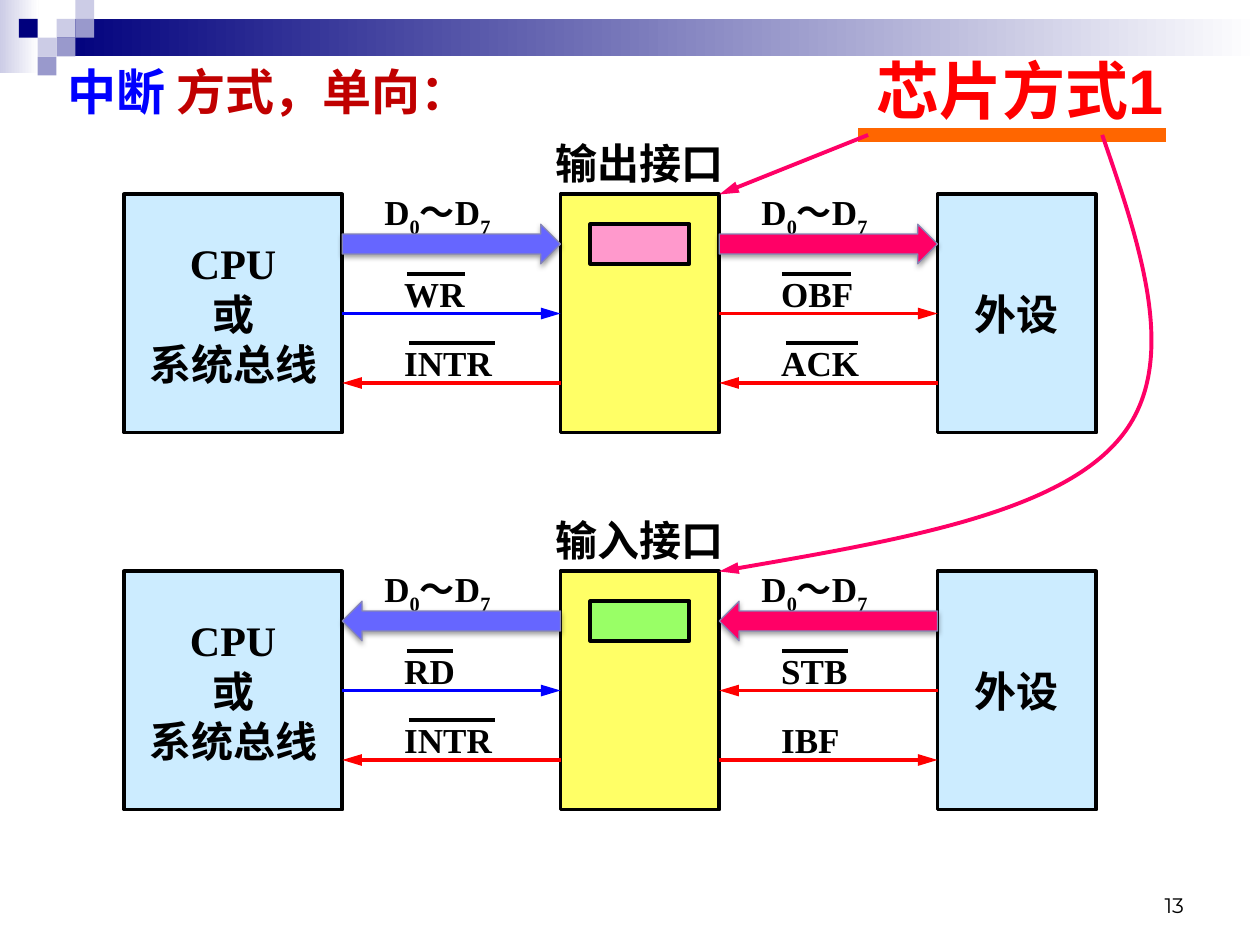
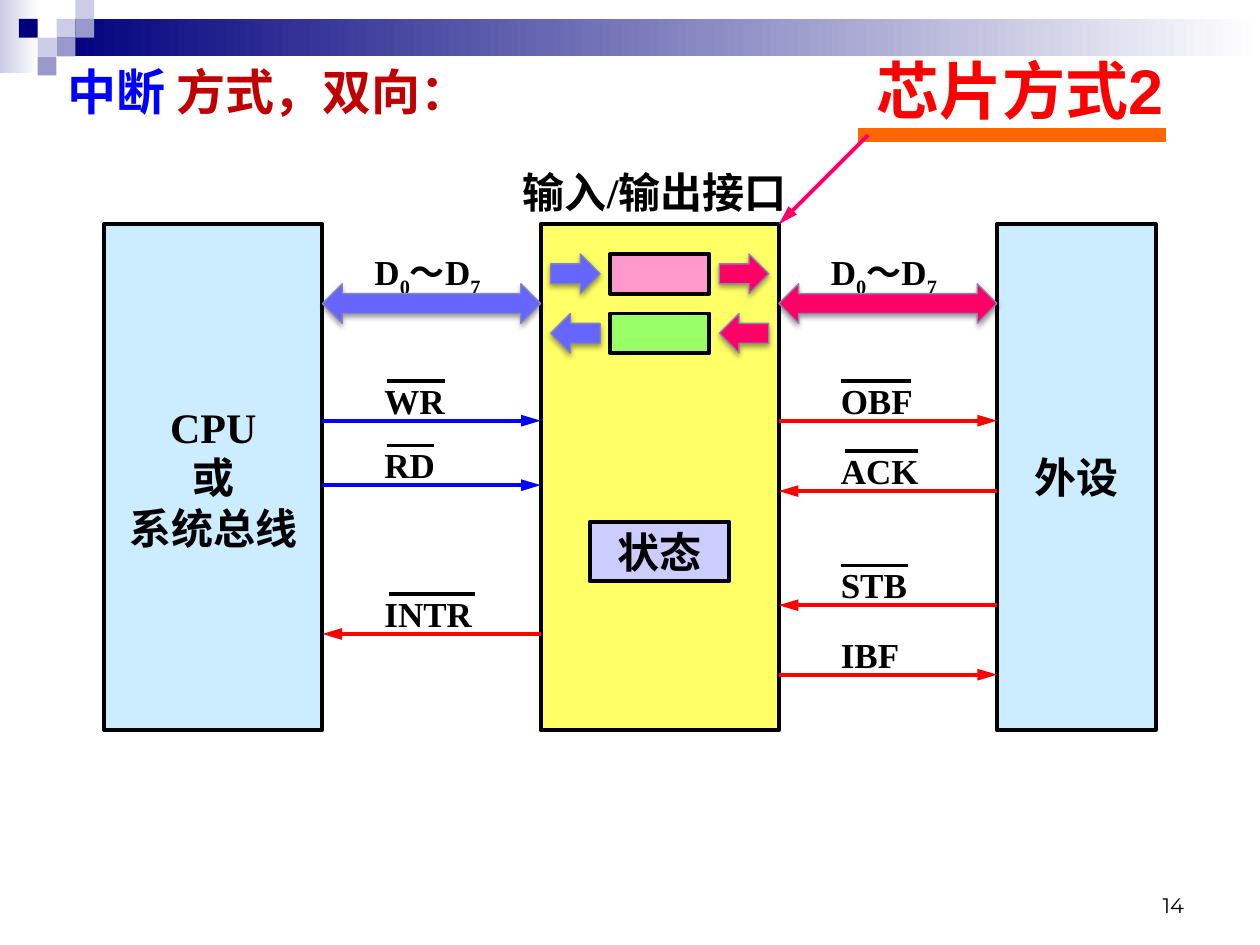
from dataclasses import dataclass

from lxml import etree
from pptx import Presentation
from pptx.dml.color import RGBColor
from pptx.enum.shapes import MSO_CONNECTOR, MSO_SHAPE
from pptx.enum.text import MSO_ANCHOR, MSO_AUTO_SIZE, PP_ALIGN
from pptx.oxml.ns import qn
from pptx.util import Mm, Pt

RECT = MSO_SHAPE.RECTANGLE
RIGHT, LEFT, BOTH = MSO_SHAPE.RIGHT_ARROW, MSO_SHAPE.LEFT_ARROW, MSO_SHAPE.LEFT_RIGHT_ARROW
AL_LEFT, AL_CENTER, AL_RIGHT = PP_ALIGN.LEFT, PP_ALIGN.CENTER, PP_ALIGN.RIGHT
TOP, MIDDLE, BOTTOM = MSO_ANCHOR.TOP, MSO_ANCHOR.MIDDLE, MSO_ANCHOR.BOTTOM

CELL = Mm(2)  # the slide is 127 columns wide; every length below counts these cells
BLOCK_GAP = 22
SQUARE = 1.9


@dataclass(frozen=True)
class Theme:
    navy: str = "00007D"
    light: str = "CCCCE6"
    mid: str = "9999CC"
    white: str = "FFFFFF"
    black: str = "000000"
    blue: str = "0000FF"
    dark_red: str = "C00000"
    red: str = "FF0000"
    orange: str = "FF6600"
    pink: str = "FF0066"
    violet: str = "6666FF"
    arrow_edge: str = "8686B6"
    block: str = "CCECFF"
    interface: str = "FFFF66"
    out_register: str = "FF99CC"
    in_register: str = "99FF66"
    status: str = "CCCCFF"
    serif: str = "Times New Roman"
    sans: str = "Arial"
    number: str = "Montserrat"
    mode_size: int = 36
    title_size: int = 28
    block_size: int = 24
    signal_size: int = 20
    number_size: int = 12


T = Theme()


def draw_box(slide, kind, x, y, w, h, fill=None, edge=T.black, edge_pt=2.25, text="",
             size=T.block_size, font=T.serif, color=T.black, bold=True,
             align=AL_CENTER, anchor=MIDDLE):
    """Draw a preset shape, or a text box when kind is None; _n_ in the text is a subscript."""
    place = [round(v * CELL) for v in (x, y, w, h)]
    if kind is None:
        sp = slide.shapes.add_textbox(*place)
    else:
        sp = slide.shapes.add_shape(kind, *place)
        sp.shadow.inherit = False
        if isinstance(fill, tuple):
            sp.fill.gradient()
            sp.fill.gradient_angle = 0
            for stop, shade in zip(sp.fill.gradient_stops, fill):
                stop.color.rgb = RGBColor.from_string(shade)
        else:
            sp.fill.solid()
            sp.fill.fore_color.rgb = RGBColor.from_string(fill)
        if edge:
            sp.line.color.rgb = RGBColor.from_string(edge)
            sp.line.width = Pt(edge_pt)
        else:
            sp.line.fill.background()
        if kind in (RIGHT, LEFT, BOTH):
            effects = sp.element.spPr.find(qn("a:effectLst"))
            shadow = etree.SubElement(effects, qn("a:outerShdw"), blurRad="40000",
                                      dist="20000", dir="5400000", rotWithShape="0")
            shade = etree.SubElement(shadow, qn("a:srgbClr"), val=T.black)
            etree.SubElement(shade, qn("a:alpha"), val="38000")
    if text:
        tf = sp.text_frame
        tf.word_wrap = True
        tf.vertical_anchor = anchor
        for i, words in enumerate(text.split("\n")):
            p = tf.add_paragraph() if i else tf.paragraphs[0]
            p.alignment = align
            p.font.size, p.font.name, p.font.bold = Pt(size), font, bold
            p.font.color.rgb = RGBColor.from_string(color)
            for j, part in enumerate(words.split("_")):
                if part:
                    r = p.add_run()
                    r.text = part
                    if j % 2:
                        r._r.get_or_add_rPr().set("baseline", "-25000")
    return sp


def draw_line(slide, points, color, width=2.25, arrow=True):
    """Draw a straight connector through two points, or a Bézier curve through more."""
    places = [(round(x * CELL), round(y * CELL)) for x, y in points]
    if len(places) == 2:
        sp = slide.shapes.add_connector(MSO_CONNECTOR.STRAIGHT, *places[0], *places[1])
    else:
        builder = slide.shapes.build_freeform(*places[0])
        builder.add_line_segments(places[1:], close=False)
        sp = builder.convert_to_shape()
        sp.fill.background()
        segments = list(sp.element.iter(qn("a:lnTo")))
        outline = segments[0].getparent()
        for i in range(0, len(segments), 3):
            curve = etree.SubElement(outline, qn("a:cubicBezTo"))
            for segment in segments[i:i + 3]:
                curve.append(segment[0])
                outline.remove(segment)
    sp.line.color.rgb = RGBColor.from_string(color)
    sp.line.width = Pt(width)
    props = sp.element.spPr
    if arrow:
        etree.SubElement(props.find(qn("a:ln")), qn("a:tailEnd"), type="triangle",
                         w="med", len="lg")
    etree.SubElement(props, qn("a:effectLst"))


# Signals: side of the interface, points right, overline offset and width
CPU_SIDE, DEVICE_SIDE = 0, 1
SIGNALS = {
    "WR": (CPU_SIDE, True, 1.5, 5.9),
    "RD": (CPU_SIDE, True, 1.5, 4.7),
    "INTR": (CPU_SIDE, False, 1.7, 8.7),
    "OBF": (DEVICE_SIDE, True, 1.3, 7),
    "ACK": (DEVICE_SIDE, False, 1.7, 7.3),
    "STB": (DEVICE_SIDE, False, 1.3, 6.7),
    "IBF": (DEVICE_SIDE, True, 0, 0),
}

# Panels: columns count from the slide's edge, rows from the panel's top
one_way = dict(left=12.5, height=24, width=16, caption_x=52.5, caption_w=24,
               bus_row=3, bus_label=3)
output_panel = dict(one_way, top=19.6, caption="输出接口", bus=RIGHT,
                    registers=[(3, T.out_register)],
                    rows={"WR": 12, "INTR": 19, "OBF": 12, "ACK": 19})
input_panel = dict(one_way, top=57.6, caption="输入接口", bus=LEFT,
                   registers=[(3, T.in_register)],
                   rows={"RD": 12, "INTR": 19, "STB": 12, "IBF": 19})
two_way_panel = dict(left=10.5, top=22.6, height=51, width=24, caption="输入/输出接口",
                     caption_x=47.5, caption_w=37, bus=BOTH, bus_row=6, bus_label=4,
                     registers=[(3, T.out_register), (9, T.in_register)],
                     rows={"WR": 19.8, "RD": 26.3, "INTR": 41.3, "OBF": 19.8,
                           "ACK": 26.9, "STB": 38.4, "IBF": 45.4})
PAGES = [
    (13, "单向", "芯片方式1", [output_panel, input_panel]),
    (14, "双向", "芯片方式2", [two_way_panel]),
]

prs = Presentation()
prs.slide_width, prs.slide_height = Mm(254), Mm(190.5)
layout = prs.slide_layouts[5]
for ph in list(layout.placeholders)[1:]:
    ph.element.getparent().remove(ph.element)

for page, (number, direction, mode, panels) in enumerate(PAGES):
    s = prs.slides.add_slide(layout)

    # Shared band and squares, kept on the layout
    if page == 0:
        band = [draw_box(s, RECT, 0, 0, 3.9, 7.4, (T.light, T.white), None),
                draw_box(s, RECT, 3 * SQUARE, SQUARE, 127 - 3 * SQUARE, 2 * SQUARE,
                         (T.navy, T.white), None)]
        for col, row, shade in [(3, 1, T.light), (4, 0, T.light), (4, 1, T.mid),
                                (2, 2, T.light), (1, 1, T.navy), (3, 2, T.mid),
                                (2, 3, T.mid)]:
            band.append(draw_box(s, RECT, col * SQUARE, row * SQUARE, SQUARE, SQUARE,
                                 shade, None))
        for i, sp in enumerate(band):
            layout.shapes.element.insert(2 + i, sp.element)

    # Title, mode name and slide number
    title = s.shapes.title
    title.left, title.top, title.width, title.height = [
        round(v * CELL) for v in (5.5, 5.6, 63, 7.2)]
    tf = title.text_frame
    tf.auto_size, tf.vertical_anchor = MSO_AUTO_SIZE.NONE, TOP
    p = tf.paragraphs[0]
    p.alignment = AL_LEFT
    p.font.size, p.font.name, p.font.bold = Pt(T.title_size), T.serif, True
    for words, color in [("中断", T.blue), (f" 方式，{direction}：", T.dark_red)]:
        r = p.add_run()
        r.text = words
        r.font.color.rgb = RGBColor.from_string(color)
    draw_box(s, None, 72.5, 4.6, 46, 9, text=mode, size=T.mode_size, font=T.sans,
             color=T.red, align=AL_RIGHT, anchor=TOP)
    draw_box(s, None, 91, 86.8, 29.6, 6.35, text=str(number), size=T.number_size,
             font=T.number, bold=False, align=AL_RIGHT, anchor=BOTTOM)

    for panel in panels:
        top, height, width = panel["top"], panel["height"], panel["width"]
        cpu_x = panel["left"]
        gaps = [cpu_x + 22, cpu_x + 22 + BLOCK_GAP + width]
        interface_x = gaps[0] + BLOCK_GAP
        center = interface_x + width / 2

        # Blocks and caption
        draw_box(s, RECT, cpu_x, top, 22, height, T.block, text="CPU\n或\n系统总线")
        draw_box(s, RECT, interface_x, top, width, height, T.interface)
        draw_box(s, RECT, gaps[1] + BLOCK_GAP, top, 16, height, T.block, text="外设")
        draw_box(s, None, panel["caption_x"], top - 6.4, panel["caption_w"], 6.4,
                 text=panel["caption"], anchor=TOP)

        # Data buses
        bus_y = top + panel["bus_row"]
        for gap_x, color in zip(gaps, (T.violet, T.pink)):
            draw_box(s, None, gap_x + panel["bus_label"], bus_y - 4, 17, 5.6,
                     text="D_0_～D_7", size=T.signal_size, align=AL_LEFT, anchor=TOP)
            draw_box(s, panel["bus"], gap_x, bus_y, BLOCK_GAP, 4, color, T.arrow_edge, 0.75)

        # Data registers, with inner arrows when the bus runs both ways
        for row, color in panel["registers"]:
            draw_box(s, RECT, center - 5, top + row, 10, 4, color)
            if panel["bus"] == BOTH:
                kind = RIGHT if color == T.out_register else LEFT
                for x, shade in [(center - 11, T.violet), (center + 6, T.pink)]:
                    draw_box(s, kind, x, top + row, 5, 4, shade, T.arrow_edge, 0.75)
        if panel["bus"] == BOTH:
            draw_box(s, RECT, center - 7, top + 30, 14, 6, T.status, text="状态")

        # Control signals
        for name, row in panel["rows"].items():
            side, points_right, bar_x, bar_w = SIGNALS[name]
            x, y = gaps[side], top + row
            ends = [(x, y), (x + BLOCK_GAP, y)]
            draw_line(s, ends if points_right else ends[::-1],
                      T.blue if name in ("WR", "RD") else T.red)
            draw_box(s, None, x + 5, y - 4.8, 16, 5.6, text=name, size=T.signal_size,
                     align=AL_LEFT, anchor=TOP)
            if bar_w:
                bar_start = x + 5 + bar_x
                draw_line(s, [(bar_start, y - 4), (bar_start + bar_w, y - 4)],
                          T.black, arrow=False)

    # Underlined mode name pointing at each interface
    draw_line(s, [(86.5, 13.6), (117.5, 13.6)], T.orange, 8, arrow=False)
    first = panels[0]
    corner_x = first["left"] + 22 + BLOCK_GAP + first["width"]
    draw_line(s, [(87.5, 13.6), (corner_x, first["top"])], T.pink)
    if len(panels) > 1:
        draw_line(s, [(111.1, 13.6), (115.2, 25.4), (119.1, 37.2), (112.6, 44.5),
                      (106.2, 51.8), (89.3, 54.7), (corner_x, panels[1]["top"])], T.pink)

prs.save("out.pptx")
